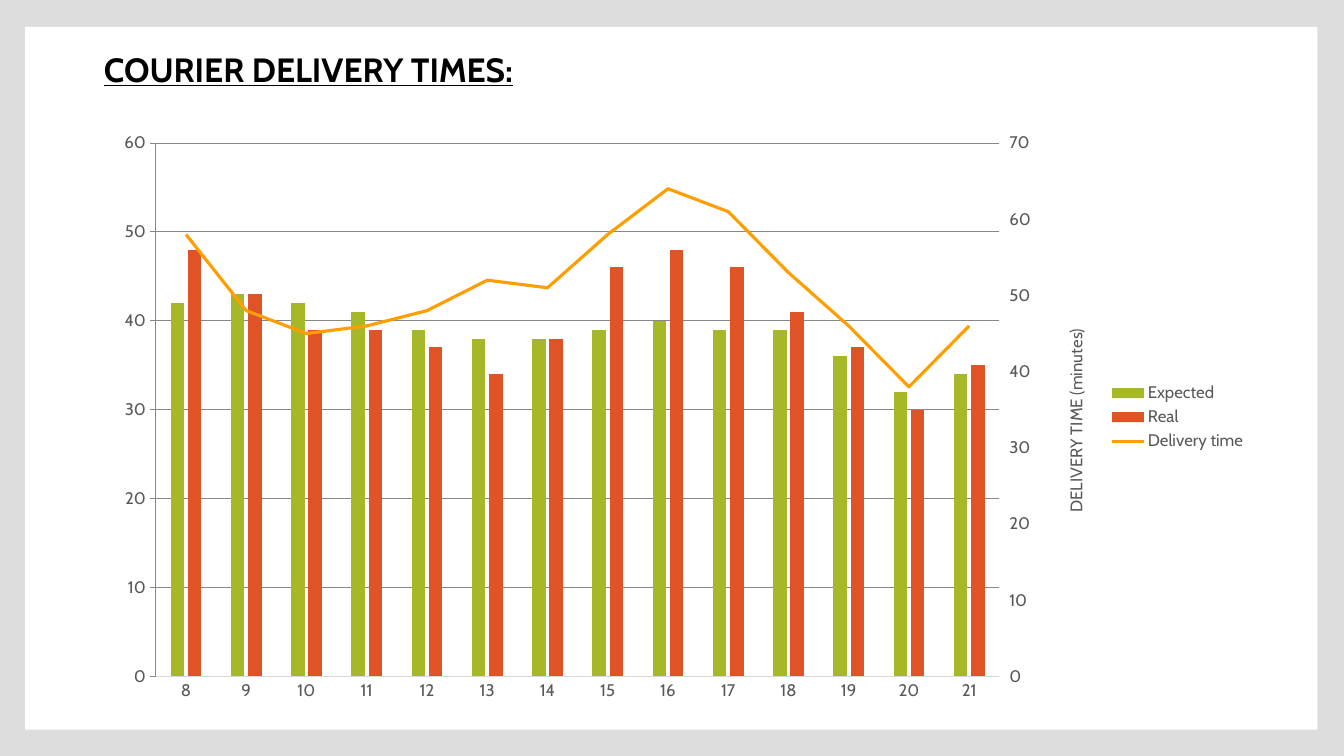
from copy import deepcopy

from pptx import Presentation
from pptx.chart.axis import ValueAxis
from pptx.chart.data import CategoryChartData
from pptx.dml.color import RGBColor
from pptx.enum.chart import XL_CHART_TYPE as ChartType
from pptx.enum.chart import XL_LEGEND_POSITION as LegendPosition
from pptx.enum.chart import XL_MARKER_STYLE as MarkerStyle
from pptx.enum.chart import XL_TICK_MARK as TickMark
from pptx.enum.shapes import MSO_SHAPE as ShapeType
from pptx.enum.text import MSO_ANCHOR as Anchor
from pptx.enum.text import PP_ALIGN as Align
from pptx.oxml import parse_xml
from pptx.oxml.ns import nsdecls, qn
from pptx.util import Pt

COLORS = {
    "background": "DDDDDD", "panel": "FFFFFF", "title": "000000",
    "label": "595959", "grid": "D9D9D9",
    "Expected": "A6B727", "Real": "DF5327", "Delivery time": "FE9E00",
}
HOURS = [str(hour) for hour in range(8, 22)]
TIMES = {
    "Expected": [42, 43, 42, 41, 39, 38, 38, 39, 40, 39, 39, 36, 32, 34],
    "Real": [48, 43, 39, 39, 37, 34, 38, 46, 48, 46, 41, 37, 30, 35],
    "Delivery time": [58, 48, 45, 46, 48, 52, 51, 58, 64, 61, 53, 46, 38, 46],
}


def set_layout(element, position, **fractions):
    """Place a chart part by fractions of the chart's size."""
    for old in element.findall(qn("c:layout")):
        element.remove(old)
    modes = {"xMode": "edge", "yMode": "edge"}
    if "w" in fractions:
        modes = {"layoutTarget": "inner", **modes}
    tags = "".join(f'<c:{name} val="{value}"/>'
                   for name, value in {**modes, **fractions}.items())
    element.insert(position, parse_xml(
        f'<c:layout {nsdecls("c")}><c:manualLayout>{tags}</c:manualLayout></c:layout>'))


def move_to_line(chart):
    """Turn the last column series into a line on a right axis, and return that axis."""
    bars = chart.plots[0]._element
    plot_area = bars.getparent()
    series = bars.findall(qn("c:ser"))[-1]
    for flag in series.findall(qn("c:invertIfNegative")):
        series.remove(flag)
    line = parse_xml(
        f'<c:lineChart {nsdecls("c")}><c:grouping val="standard"/><c:varyColors val="0"/>'
        '<c:marker val="1"/><c:axId val="101"/><c:axId val="102"/></c:lineChart>')
    line.insert(2, series)
    bars.addnext(line)

    category, value = (deepcopy(plot_area.find(qn(tag))) for tag in ("c:catAx", "c:valAx"))
    for axis, own, other in ((category, "101", "102"), (value, "102", "101")):
        axis.find(qn("c:axId")).set("val", own)
        axis.find(qn("c:crossAx")).set("val", other)
    category.find(qn("c:delete")).set("val", "1")
    value.find(qn("c:axPos")).set("val", "r")
    value.find(qn("c:crosses")).set("val", "max")
    plot_area.findall(qn("c:valAx"))[-1].addnext(value)
    value.addnext(category)
    return ValueAxis(value)


class SlideBuilder:
    """Holds the style and the current slide."""

    def __init__(self, presentation):
        """Add a title-only slide with its background."""
        self.font_name = "Cabin"
        self.slide = presentation.slides.add_slide(presentation.slide_layouts[5])
        self.paint(self.slide.background.fill, "background")

    def paint(self, fill, color):
        """Fill with a named colour."""
        fill.solid()
        fill.fore_color.rgb = RGBColor.from_string(COLORS[color])

    def style_font(self, font, color="label", size=12, **options):
        """Format a font."""
        values = {"name": self.font_name, "size": Pt(size), "bold": False, **options}
        for name, value in values.items():
            setattr(font, name, value)
        font.color.rgb = RGBColor.from_string(COLORS[color])

    def style_line(self, line, color, width=0.75):
        """Give a line a named colour and a width."""
        self.paint(line.fill, color)
        line.width = Pt(width)

    def panel(self, left, top, width, height):
        """Draw a plain panel behind everything else."""
        panel = self.slide.shapes.add_shape(
            ShapeType.RECTANGLE, Pt(left), Pt(top), Pt(width), Pt(height))
        panel.shadow.inherit = False
        self.paint(panel.fill, "panel")
        panel.line.fill.background()
        panel.element.getparent().insert(2, panel.element)

    def title(self, text, left, top, width, height):
        """Fill and place the title placeholder."""
        title = self.slide.shapes.title
        bounds = {"left": left, "top": top, "width": width, "height": height}
        for name, value in bounds.items():
            setattr(title, name, Pt(value))
        frame = title.text_frame
        frame.text = text
        frame.word_wrap = False
        frame.vertical_anchor = Anchor.MIDDLE
        paragraph = frame.paragraphs[0]
        paragraph.alignment = Align.LEFT
        self.style_font(paragraph.runs[0].font, "title", 24, bold=True, underline=True)

    def axis(self, axis, tick=TickMark.NONE, **scale):
        """Format an axis and its labels, without a line."""
        values = {"major_tick_mark": tick, "minor_tick_mark": TickMark.NONE, **scale}
        for name, value in values.items():
            setattr(axis, name, value)
        self.style_font(axis.tick_labels.font)
        axis.format.line.fill.background()

    def axis_title(self, axis, text):
        """Add an upright axis title beside the right axis."""
        frame = axis.axis_title.text_frame
        frame.text = text
        self.style_font(frame.paragraphs[0].runs[0].font)
        frame._txBody.bodyPr.set("rot", "-5400000")
        frame._txBody.bodyPr.set("vert", "horz")
        set_layout(axis.axis_title._element, 1, x=0.83, y=0.345)

    def chart(self, left, top, width, height):
        """Add the column chart with a line on a second axis."""
        data = CategoryChartData()
        data.categories = HOURS
        for name, values in TIMES.items():
            data.add_series(name, values)
        chart = self.slide.shapes.add_chart(
            ChartType.COLUMN_CLUSTERED, Pt(left), Pt(top), Pt(width), Pt(height), data).chart
        chart.has_title = False
        self.style_font(chart.font)
        right_axis = move_to_line(chart)

        self.axis(chart.category_axis)
        self.style_line(chart.category_axis.format.line, "grid")
        self.axis(chart.value_axis, minimum_scale=0, maximum_scale=60, major_unit=10)
        self.style_line(chart.value_axis.major_gridlines.format.line, "grid")
        self.axis(right_axis, TickMark.OUTSIDE, minimum_scale=0, maximum_scale=70,
                  major_unit=10, has_major_gridlines=False)
        self.axis_title(right_axis, "DELIVERY TIME (minutes)")

        columns, line = chart.plots
        columns.gap_width, columns.overlap = 219, -27
        columns.vary_by_categories = False
        for series in columns.series:
            self.paint(series.format.fill, series.name)
        for series in line.series:
            self.style_line(series.format.line, series.name, 2.25)
            series.marker.style = MarkerStyle.NONE
            series.smooth = False

        chart.has_legend = True
        chart.legend.position = LegendPosition.RIGHT
        chart.legend.include_in_layout = False
        self.style_font(chart.legend.font)
        set_layout(columns._element.getparent(), 0, x=0.043, y=0.036, w=0.733, h=0.903)


presentation = Presentation()
presentation.slide_width, presentation.slide_height = Pt(960), Pt(540)
builder = SlideBuilder(presentation)
builder.panel(18, 19.2, 923, 502)
builder.title("COURIER DELIVERY TIMES:", 67, 31, 308, 36)
builder.chart(76, 87, 822, 422)
presentation.save("out.pptx")
